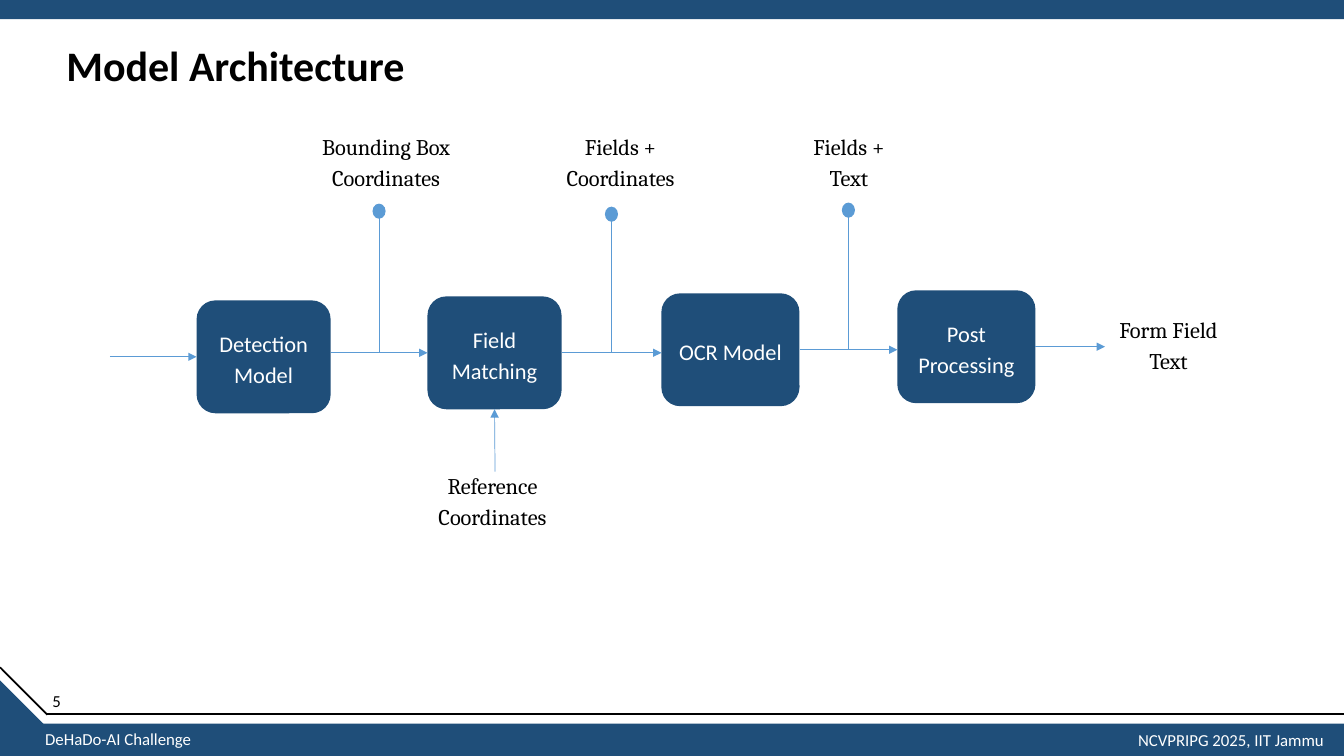
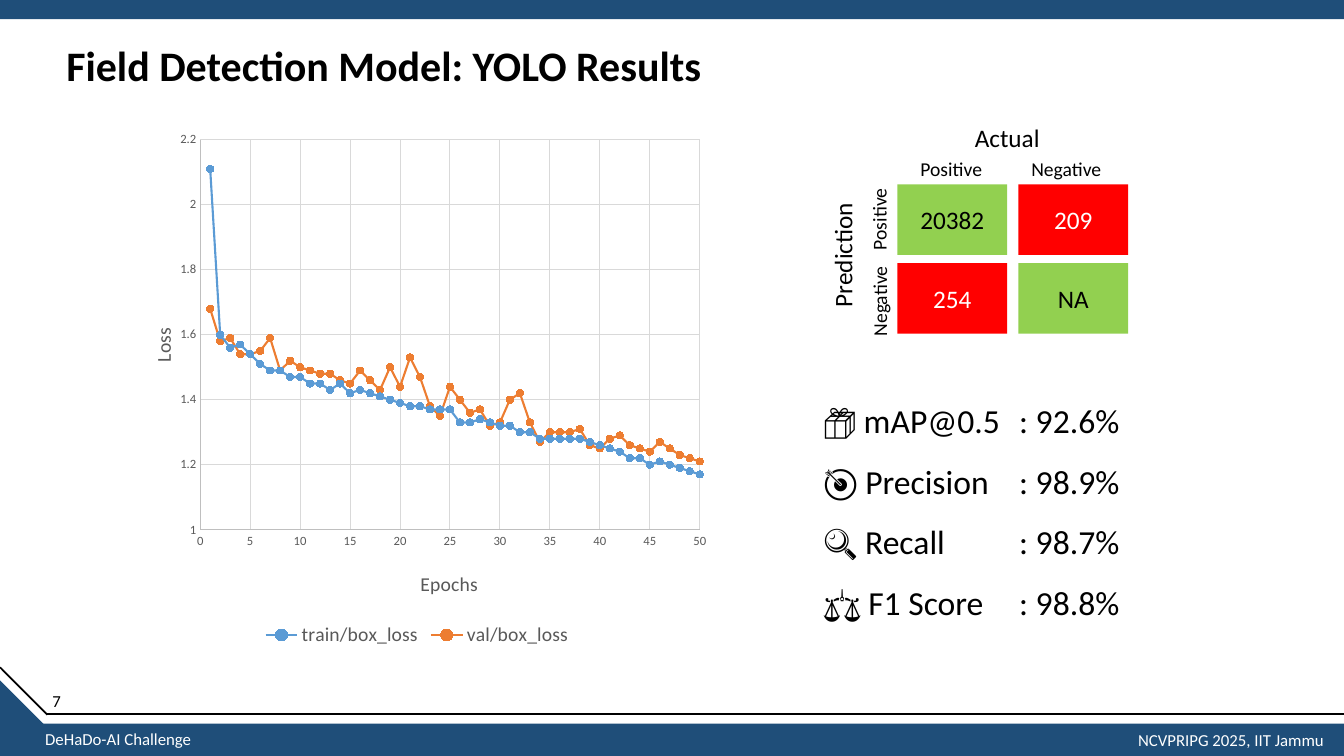
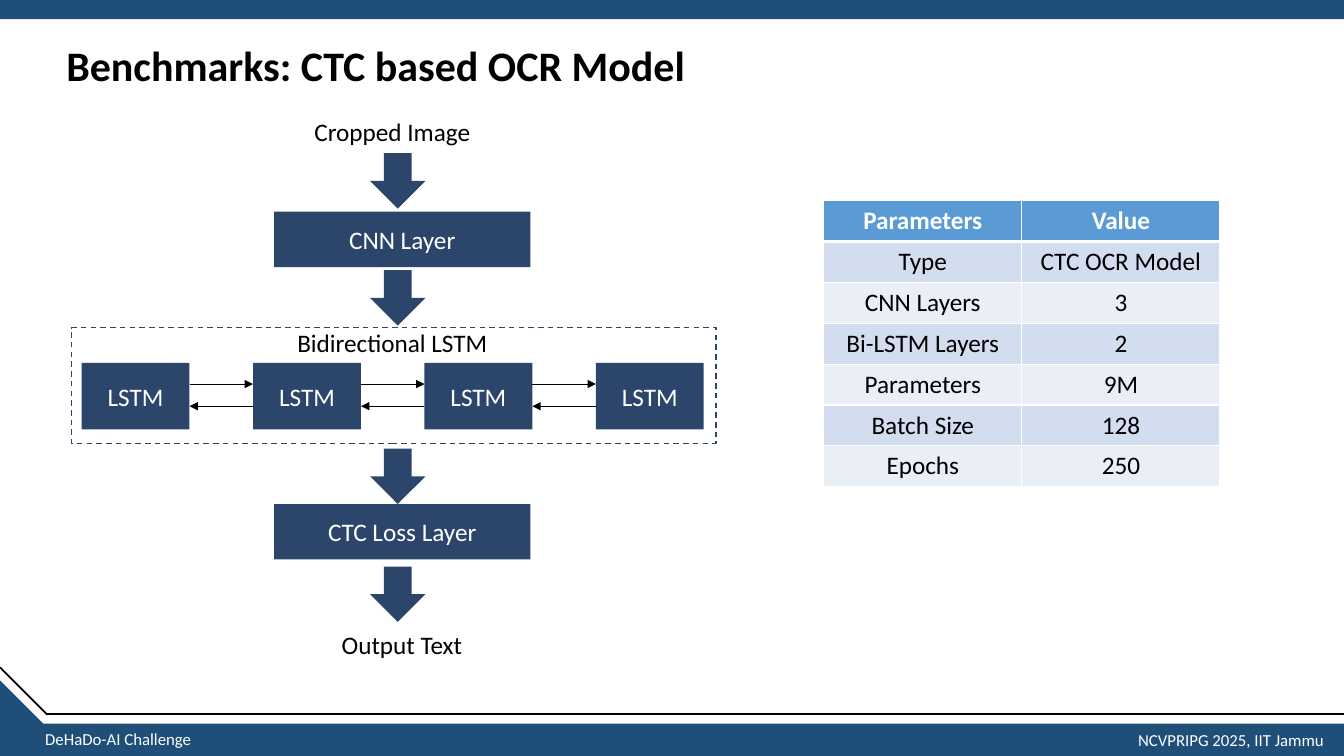
from lxml import etree
from pptx import Presentation
from pptx.chart.data import XyChartData
from pptx.dml.color import RGBColor
from pptx.enum.chart import (XL_CHART_TYPE, XL_LEGEND_POSITION, XL_MARKER_STYLE,
                             XL_TICK_MARK)
from pptx.enum.dml import MSO_LINE
from pptx.enum.shapes import MSO_CONNECTOR, MSO_SHAPE
from pptx.enum.text import MSO_ANCHOR, PP_ALIGN
from pptx.oxml import parse_xml
from pptx.oxml.ns import nsdecls, qn
from pptx.util import Inches, Pt

COLORS = {
    "band": "1F4E79", "accent": "5B9BD5", "orange": "ED7D31", "layer": "2C466B",
    "black": "000000", "white": "FFFFFF", "right": "92D050", "wrong": "FF0000",
    "gray": "595959", "axis": "BFBFBF", "grid": "D9D9D9",
    "row_dark": "D2DEEF", "row_light": "EAEFF7",
}
BODY_FONT, LABEL_FONT = "Calibri", "Cambria"
SLIDE_WIDTH, SLIDE_HEIGHT = 13.33, 7.5
TOP, LEFT, BOTTOM, RIGHT = range(4)

TRAIN_LOSS = [
    2.11, 1.6, 1.56, 1.57, 1.54, 1.51, 1.49, 1.49, 1.47, 1.47,
    1.45, 1.45, 1.43, 1.45, 1.42, 1.43, 1.42, 1.41, 1.4, 1.39,
    1.38, 1.38, 1.37, 1.37, 1.37, 1.33, 1.33, 1.34, 1.33, 1.32,
    1.32, 1.3, 1.3, 1.28, 1.28, 1.28, 1.28, 1.28, 1.27, 1.26,
    1.25, 1.24, 1.22, 1.22, 1.2, 1.21, 1.2, 1.19, 1.18, 1.17]
VAL_LOSS = [
    1.68, 1.58, 1.59, 1.54, 1.54, 1.55, 1.59, 1.49, 1.52, 1.5,
    1.49, 1.48, 1.48, 1.46, 1.45, 1.49, 1.46, 1.43, 1.5, 1.44,
    1.53, 1.47, 1.38, 1.35, 1.44, 1.4, 1.36, 1.37, 1.32, 1.33,
    1.4, 1.42, 1.33, 1.27, 1.3, 1.3, 1.3, 1.31, 1.26, 1.25,
    1.28, 1.29, 1.26, 1.25, 1.24, 1.27, 1.25, 1.23, 1.22, 1.21]


def color(name):
    return RGBColor.from_string(COLORS[name])


def style_font(font, size, color_name, name=BODY_FONT, bold=False):
    font.size, font.name, font.bold = Pt(size), name, bold
    font.color.rgb = color(color_name)


def write(frame, text, size, color_name="black", font=BODY_FONT, align=PP_ALIGN.LEFT,
          spacing=1.0, bold=False, tab=None):
    """Fill a text frame, one paragraph for each line of text."""
    for index, line in enumerate(text.split("\n")):
        paragraph = frame.paragraphs[0] if index == 0 else frame.add_paragraph()
        if tab:
            tabs = etree.SubElement(paragraph._p.get_or_add_pPr(), qn("a:tabLst"))
            etree.SubElement(tabs, qn("a:tab"), pos=str(Inches(tab)), algn="l")
        paragraph.alignment = align
        paragraph.line_spacing = spacing
        run = paragraph.add_run()
        run.text = line
        style_font(run.font, size, color_name, font, bold)


def add_text(shapes, left, top, width, height, text, size, wrap=False, rotation=0,
             anchor=MSO_ANCHOR.TOP, **style):
    box = shapes.add_textbox(Inches(left), Inches(top), Inches(width), Inches(height))
    box.rotation = rotation
    box.text_frame.word_wrap = wrap
    box.text_frame.vertical_anchor = anchor
    write(box.text_frame, text, size, **style)


def add_box(shapes, kind, left, top, width, height, fill=None, text=None, size=18,
            text_color="white", spacing=1.0):
    shape = shapes.add_shape(kind, Inches(left), Inches(top), Inches(width), Inches(height))
    shape.shadow.inherit = False
    shape.line.fill.background()
    if fill:
        shape.fill.solid()
        shape.fill.fore_color.rgb = color(fill)
    else:
        shape.fill.background()
    if text:
        shape.text_frame.word_wrap = True
        shape.text_frame.vertical_anchor = MSO_ANCHOR.MIDDLE
        write(shape.text_frame, text, size, text_color, align=PP_ALIGN.CENTER, spacing=spacing)
    return shape


def add_line(shapes, x1, y1, x2, y2, color_name="black", width=0.5, arrow=False,
             begin=None, end=None):
    """Draw a line; begin and end are (shape, side) pairs to join."""
    line = shapes.add_connector(MSO_CONNECTOR.STRAIGHT, Inches(x1), Inches(y1),
                                Inches(x2), Inches(y2))
    line.line.color.rgb = color(color_name)
    line.line.width = Pt(width)
    if arrow:
        etree.SubElement(line.line._get_or_add_ln(), qn("a:tailEnd"), type="triangle")
    etree.SubElement(line._element.spPr, qn("a:effectLst"))
    if begin:
        line.begin_connect(*begin)
    if end:
        line.end_connect(*end)


def add_base_slide(presentation, title, number=None):
    """Blank slide with the shared bands, corner, footer and title."""
    slide = presentation.slides.add_slide(presentation.slide_layouts[6])
    shapes = slide.shapes
    add_box(shapes, MSO_SHAPE.RECTANGLE, 0, 7.18, SLIDE_WIDTH, 0.32, "band")
    add_box(shapes, MSO_SHAPE.RECTANGLE, 0, 0, SLIDE_WIDTH, 0.19, "band")
    add_box(shapes, MSO_SHAPE.RIGHT_TRIANGLE, 0, 6.75, 0.47, 0.47, "band")
    add_line(shapes, 0.47, 7.08, SLIDE_WIDTH, 7.08, width=1.25)
    add_line(shapes, 0, 6.62, 0.47, 7.09, width=1.25)
    add_text(shapes, 0.56, 0.4, 11.86, 0.55, title, 30, wrap=True,
             anchor=MSO_ANCHOR.MIDDLE, spacing=0.9, bold=True)
    add_text(shapes, 0.35, 7.18, 1.67, 0.3, "DeHaDo-AI Challenge", 12, color_name="white")
    add_text(shapes, 11.19, 7.19, 2.07, 0.3, "NCVPRIPG 2025, IIT Jammu", 12,
             color_name="white")
    if number:
        add_text(shapes, 0.42, 6.8, 0.28, 0.3, str(number), 12, wrap=True)
    return slide


# Pipeline of the model
def add_pipeline(slide, left, top):
    shapes = slide.shapes

    def label(x, y, width, text):
        add_text(shapes, left + x, top + y, width, 0.7, text, 16, wrap=True,
                 font=LABEL_FONT, align=PP_ALIGN.CENTER, spacing=1.15)

    def line(x1, y1, x2, y2, **options):
        add_line(shapes, left + x1, top + y1, left + x2, top + y2, "accent", **options)

    steps = [("Detection Model", 0.86, 1.75, 1.33), ("Field Matching", 3.15, 1.71, 1.33),
             ("OCR Model", 5.47, 1.68, 1.37), ("Post Processing", 7.81, 1.65, 1.37)]
    detection, matching, ocr, post = [
        add_box(shapes, MSO_SHAPE.ROUNDED_RECTANGLE, left + x, top + y, width, 1.12,
                "band", text, 16, spacing=1.15)
        for text, x, y, width in steps]

    # Input, reference and output
    line(0, 2.31, 0.86, 2.31, arrow=True, end=(detection, LEFT))
    line(3.82, 3.45, 3.82, 2.83, arrow=True, end=(matching, BOTTOM))
    line(9.18, 2.21, 9.87, 2.21, arrow=True, begin=(post, RIGHT))
    label(3.11, 3.37, 1.37, "Reference\nCoordinates")
    label(9.87, 1.82, 1.26, "Form Field\nText")

    # Links between steps, each with a stem, a dot and a label
    links = [
        (2.19, 3.15, 2.27, {"end": (matching, LEFT)}, 0.79,
         1.97, 1.54, "Bounding Box\nCoordinates"),
        (4.48, 5.47, 2.27, {"begin": (matching, RIGHT)}, 0.82,
         4.38, 1.37, "Fields +\nCoordinates"),
        (6.84, 7.81, 2.24, {"begin": (ocr, RIGHT)}, 0.78,
         6.84, 0.98, "Fields +\nText"),
    ]
    for start, stop, y, joint, dot_top, label_x, label_width, text in links:
        middle = (start + stop) / 2
        line(start, y, stop, y, arrow=True, **joint)
        line(middle, dot_top + 0.1, middle, y)
        add_box(shapes, MSO_SHAPE.OVAL, left + middle - 0.065, top + dot_top, 0.13, 0.15,
                "accent")
        label(label_x, 0, label_width, text)


def manual_layout(x, y, width=None, height=None):
    """Chart layout given in fractions of the chart."""
    inner = '<c:layoutTarget val="inner"/>' if width else ""
    size = f'<c:w val="{width}"/><c:h val="{height}"/>' if width else ""
    return parse_xml(
        f'<c:layout {nsdecls("c")}><c:manualLayout>{inner}'
        '<c:xMode val="edge"/><c:yMode val="edge"/>'
        f'<c:x val="{x}"/><c:y val="{y}"/>{size}</c:manualLayout></c:layout>')


def style_axis(axis, title, low, high, step, title_x, title_y):
    axis.minimum_scale, axis.maximum_scale, axis.major_unit = low, high, step
    axis.major_tick_mark = axis.minor_tick_mark = XL_TICK_MARK.NONE
    style_font(axis.tick_labels.font, 9, "gray")
    axis.has_major_gridlines = True
    for line, name in ((axis.format.line, "axis"), (axis.major_gridlines.format.line, "grid")):
        line.color.rgb = color(name)
        line.width = Pt(0.75)
    run = axis.axis_title.text_frame.paragraphs[0].add_run()
    run.text = title
    style_font(run.font, 14, "gray")
    element = axis.axis_title._element
    for old in element.findall(qn("c:layout")):
        element.remove(old)
    element.find(qn("c:tx")).addnext(manual_layout(title_x, title_y))


# Loss curves
def add_loss_chart(slide, left, top, width, height):
    data = XyChartData()
    for name, losses in (("train/box_loss", TRAIN_LOSS), ("val/box_loss", VAL_LOSS)):
        series = data.add_series(name)
        for epoch, loss in enumerate(losses, 1):
            series.add_data_point(epoch, loss)
    chart = slide.shapes.add_chart(XL_CHART_TYPE.XY_SCATTER_SMOOTH, Inches(left), Inches(top),
                                   Inches(width), Inches(height), data).chart
    style_font(chart.font, 10, "black")
    chart.has_title = False
    chart.has_legend = True
    chart.legend.position = XL_LEGEND_POSITION.BOTTOM
    chart.legend.include_in_layout = False
    style_font(chart.legend.font, 14, "gray")
    style_axis(chart.category_axis, "Epochs", 0, 50, 5, 0.5, 0.84)
    style_axis(chart.value_axis, "Loss", 1, 2.2, 0.2, 0.05, 0.38)

    plot = chart.plots[0]
    plot.vary_by_categories = False
    for series, name in zip(plot.series, ("accent", "orange")):
        series.smooth = True
        series.format.line.color.rgb = color(name)
        series.format.line.width = Pt(1.5)
        series.marker.style, series.marker.size = XL_MARKER_STYLE.CIRCLE, 5
        series.marker.format.fill.solid()
        series.marker.format.fill.fore_color.rgb = color(name)
        series.marker.format.line.color.rgb = color(name)
    plot_area = chart._chartSpace.chart.plotArea
    for old in plot_area.findall(qn("c:layout")):
        plot_area.remove(old)
    plot_area.insert(0, manual_layout(0.14, 0.03, 0.83, 0.74))


# Confusion matrix
def add_confusion_matrix(slide, left, top):
    shapes = slide.shapes.add_group_shape().shapes
    for row, values in enumerate((("20382", "209"), ("254", "NA"))):
        for column, value in enumerate(values):
            fill, text_color = ("right", "black") if row == column else ("wrong", "white")
            add_box(shapes, MSO_SHAPE.RECTANGLE, left + 1.2 * column, top + 0.78 * row,
                    1.09, 0.7, fill, value, text_color=text_color)
    captions = [("Actual", 0.67, -0.67, 0.85, 18, 0), ("Prediction", -1.17, 0.49, 1.25, 18, 270),
                ("Positive", 0.13, -0.32, 0.82, 14, 0), ("Negative", 1.23, -0.32, 0.91, 14, 0),
                ("Positive", -0.59, 0.17, 0.82, 14, 270),
                ("Negative", -0.63, 0.98, 0.91, 14, 270)]
    for text, x, y, width, size, rotation in captions:
        add_text(shapes, left + x, top + y, width, 0.4 if size == 18 else 0.34, text, size,
                 rotation=rotation)


# Scores
def add_scores(slide, left, top, width, height):
    scores = [("📦 mAP@0.5", "92.6%"), ("🎯 Precision", "98.9%"),
              ("🔍 Recall", "98.7%"), ("⚖️ F1 Score", "98.8%")]
    add_text(slide.shapes, left, top, width, height,
             "\n".join(f"{name}\t: {score}" for name, score in scores), 24, wrap=True,
             spacing=1.5, tab=1.94)


# Layers of the text recogniser
def add_layer_flow(slide, left, top):
    shapes = slide.shapes
    for y, text in ((0.99, "CNN Layer"), (3.89, "CTC Loss Layer")):
        add_box(shapes, MSO_SHAPE.RECTANGLE, left + 2.01, top + y, 2.54, 0.55, "layer", text)
    for y in (0.41, 1.57, 3.34, 4.51):
        add_box(shapes, MSO_SHAPE.DOWN_ARROW, left + 2.96, top + y, 0.55, 0.55, "layer")

    # Row of cells, linked both ways
    cell_top, cell_width, pitch, count = top + 2.49, 1.07, 1.7, 4
    for index in range(count):
        x = left + 0.1 + pitch * index
        add_box(shapes, MSO_SHAPE.RECTANGLE, x, cell_top, cell_width, 0.66, "layer", "LSTM")
        if index < count - 1:
            start, stop = x + cell_width, x + pitch
            add_line(shapes, start, cell_top + 0.21, stop, cell_top + 0.21, arrow=True)
            add_line(shapes, stop, cell_top + 0.43, start, cell_top + 0.43, arrow=True)
    frame = add_box(shapes, MSO_SHAPE.RECTANGLE, left, top + 2.14, 6.39, 1.15)
    frame.line.color.rgb = color("layer")
    frame.line.width = Pt(1)
    frame.line.dash_style = MSO_LINE.DASH

    for text, x, y, width in (("Cropped Image", 2.31, 0, 1.77),
                              ("Bidirectional LSTM", 2.14, 2.09, 2.11),
                              ("Output Text", 2.58, 5.08, 1.41)):
        add_text(shapes, left + x, top + y, width, 0.4, text, 18)


def set_border(cell, side, width):
    border = etree.SubElement(cell._tc.get_or_add_tcPr(), qn(f"a:ln{side}"),
                              w=str(Pt(width)))
    fill = etree.SubElement(border, qn("a:solidFill"))
    etree.SubElement(fill, qn("a:srgbClr"), val=COLORS["white"])


# Parameter table
def add_parameter_table(slide, left, top, width, height):
    rows = [("Parameters", "Value"), ("Type", "CTC OCR Model"), ("CNN Layers", "3"),
            ("Bi-LSTM Layers", "2"), ("Parameters", "9M"), ("Batch Size", "128"),
            ("Epochs", "250")]
    table = slide.shapes.add_table(len(rows), 2, Inches(left), Inches(top), Inches(width),
                                   Inches(height)).table
    for row, values in enumerate(rows):
        header = row == 0
        fill = "accent" if header else ("row_light", "row_dark")[row % 2]
        for column, value in enumerate(values):
            cell = table.cell(row, column)
            for side in "LRTB":
                heavy = (row, side) in ((0, "B"), (1, "T"))
                set_border(cell, side, 3 if heavy else 1)
            cell.fill.solid()
            cell.fill.fore_color.rgb = color(fill)
            write(cell.text_frame, value, 18, "white" if header else "black",
                  align=PP_ALIGN.CENTER, bold=header)


def main():
    presentation = Presentation()
    presentation.slide_width = Inches(SLIDE_WIDTH)
    presentation.slide_height = Inches(SLIDE_HEIGHT)

    slide = add_base_slide(presentation, "Model Architecture", 5)
    add_pipeline(slide, 1.09, 1.23)

    slide = add_base_slide(presentation, "Field Detection Model: YOLO Results", 7)
    add_loss_chart(slide, 1.15, 1.23, 5.97, 5.23)
    add_confusion_matrix(slide, 8.9, 1.83)
    add_scores(slide, 8.07, 3.72, 3.6, 2.46)

    slide = add_base_slide(presentation, "Benchmarks: CTC based OCR Model")
    add_layer_flow(slide, 0.71, 1.11)
    add_parameter_table(slide, 8.17, 1.99, 3.93, 2.84)

    presentation.save("out.pptx")


if __name__ == "__main__":
    main()
